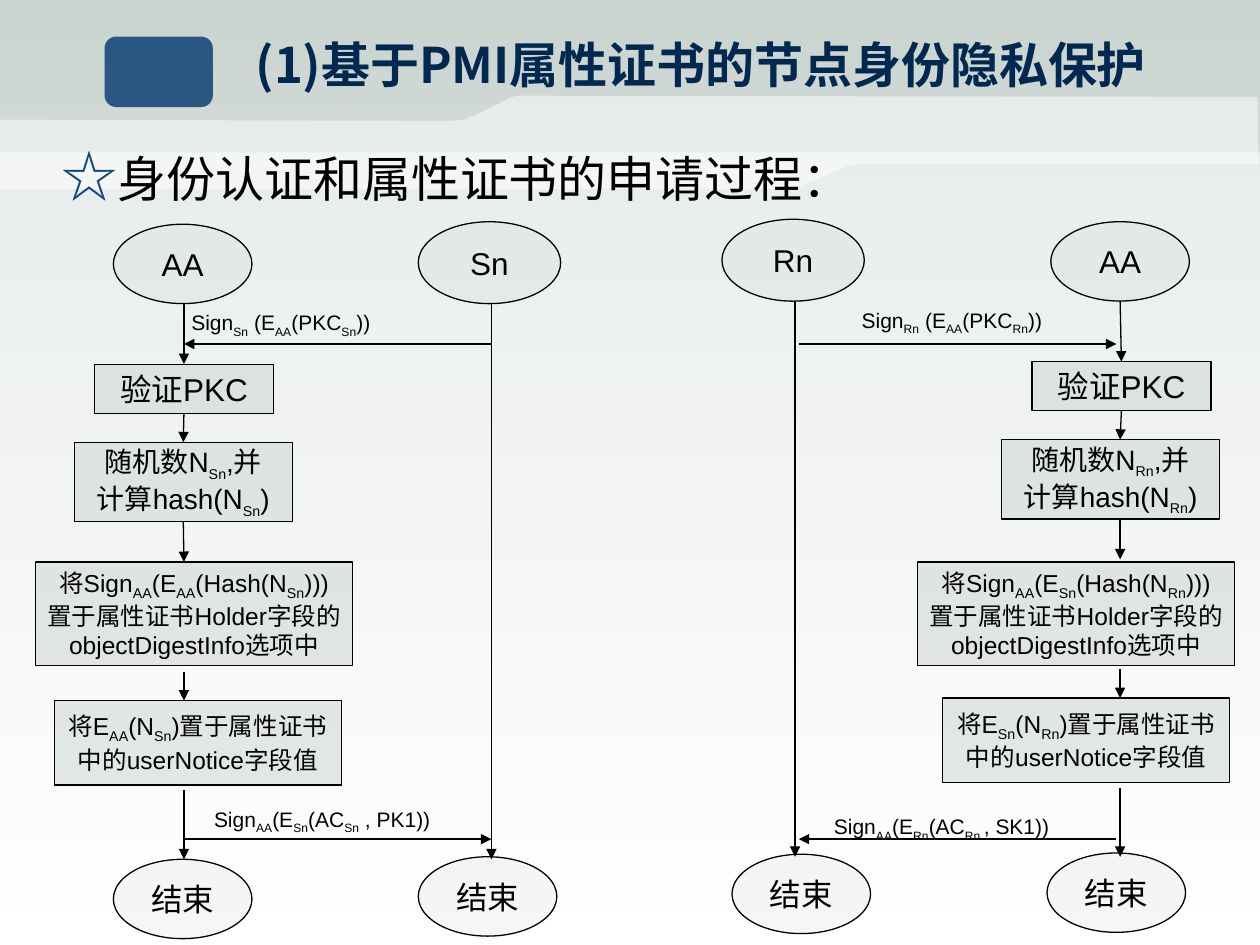
from dataclasses import dataclass

from lxml.etree import SubElement
from pptx import Presentation
from pptx.dml.color import RGBColor
from pptx.enum.shapes import MSO_CONNECTOR, MSO_SHAPE as SHAPE
from pptx.enum.text import MSO_ANCHOR as ANCHOR, PP_ALIGN as ALIGN
from pptx.oxml.ns import qn
from pptx.util import Inches, Pt

COLS, ROWS = 100, 75


@dataclass(frozen=True)
class Theme:
    ink: str = "000000"
    title: str = "002850"
    star: str = "124686"
    badge: str = "2A5682"
    mist: str = "CAD4CF"
    white: str = "FFFFFF"
    latin: str = "Arial"
    cjk: str = "Noto Sans CJK SC"
    title_size: int = 28
    star_size: int = 32
    node_size: int = 18
    random_size: int = 16
    step_size: int = 14
    label_size: int = 12
    line: float = 0.75


T = Theme()


@dataclass(frozen=True)
class Side:
    """One half of the flow: lefts are grid columns, dy shifts its rows."""
    peer: str
    key: str  # owner of the key that encrypts the nonce
    axis: float
    peer_axis: float
    near: float  # message end beside the AA axis
    far: float  # message end beside the peer axis
    dy: float
    aa_left: float
    peer_left: float
    step_lefts: tuple
    end_lefts: tuple
    end_tops: tuple
    request: tuple
    reply: tuple
    reply_text: str


LEFT = Side("Sn", "AA", 14.6, 39, 14.6, 39, 0, 9, 33.2, (7.5, 5.9, 2.8, 4.3),
            (9, 33.2), (68.2, 68), (14.2, 24.1), (16, 63.5),
            "Sign_{AA}(E_{Sn}(AC_{Sn} , PK1))")
RIGHT = Side("Rn", "Sn", 88.9, 63.1, 88.6, 63.4, -0.2, 83.4, 57.3,
             (81.9, 79.5, 72.8, 74.8), (83.1, 58.1), (67.7, 67.8),
             (67.4, 23.9), (65.2, 64.1), "Sign_{AA}(E_{Rn}(AC_{Rn }, SK1))")


def cells(*values):
    """Turn grid cells into lengths."""
    return [Inches(v * 10 / COLS) for v in values]


def rgb(color):
    return RGBColor.from_string(color)


def paint(s, color, alpha=100):
    s.fill.solid()
    s.fill.fore_color.rgb = rgb(color)
    if alpha < 100:
        clr = s.fill._xPr.find(qn("a:solidFill"))[0]
        SubElement(clr, qn("a:alpha")).set("val", str(alpha * 1000))


def add_run(p, text, size, color=T.ink, font=T.latin, bold=False, sub=False):
    r = p.add_run()
    r.text = text
    f = r.font
    f.size, f.name, f.bold = Pt(size), font, bold
    f.color.rgb = rgb(color)
    rPr = r._r.get_or_add_rPr()
    if sub:
        rPr.set("baseline", "-25000")
    ea = SubElement(rPr, qn("a:ea"))
    ea.set("typeface", T.cjk)


def write(s, text, size, align=ALIGN.LEFT, anchor=ANCHOR.TOP, wrap=True, **fmt):
    """Fill a shape with lines of text; _{...} marks a subscript."""
    tf = s.text_frame
    tf.word_wrap, tf.vertical_anchor = wrap, anchor
    for i, line in enumerate(text.split("\n")):
        p = tf.paragraphs[0] if i == 0 else tf.add_paragraph()
        p.alignment = align
        for j, part in enumerate(line.replace("}", "_{").split("_{")):
            sub = j % 2 == 1
            if part:
                add_run(p, part, min(size, T.step_size) if sub else size,
                        sub=sub, **fmt)


def add_textbox(slide, box, text, size, **fmt):
    s = slide.shapes.add_textbox(*cells(*box))
    write(s, text, size, **fmt)
    return s


def add_node(slide, kind, box, text, size=T.node_size, alpha=50):
    s = slide.shapes.add_shape(kind, *cells(*box))
    s.shadow.inherit = False
    paint(s, T.mist, alpha)
    s.line.color.rgb = rgb(T.ink)
    s.line.width = Pt(T.line)
    write(s, text, size, align=ALIGN.CENTER, anchor=ANCHOR.MIDDLE, wrap=False)
    return s


def add_oval(slide, left, top, text, width=11, height=6.3):
    return add_node(slide, SHAPE.OVAL, (left, top, width, height), text, alpha=19)


def add_arrow(slide, x1, y1, x2, y2, source=None, target=None):
    c = slide.shapes.add_connector(MSO_CONNECTOR.STRAIGHT, *cells(x1, y1, x2, y2))
    if source is not None:
        c.begin_connect(source, 2)
    if target is not None:
        c.end_connect(target, 0)
    c.line.color.rgb = rgb(T.ink)
    c.line.width = Pt(T.line)
    SubElement(c.line._get_or_add_ln(), qn("a:tailEnd")).set("type", "triangle")
    SubElement(c._element.spPr, qn("a:effectLst"))


def add_band(slide, points):
    start, *rest = [tuple(cells(*pt)) for pt in points]
    builder = slide.shapes.build_freeform(*start)
    builder.add_line_segments(rest, close=True)
    s = builder.convert_to_shape()
    s.shadow.inherit = False
    paint(s, T.white, 50)
    s.line.fill.background()


def add_backdrop(slide):
    fill = slide.background.fill
    fill.gradient()
    fill.gradient_angle = 270
    for stop, color, pos in zip(fill.gradient_stops, (T.mist, T.white), (0, 1)):
        stop.color.rgb, stop.position = rgb(color), pos
    add_band(slide, [(0, 12.1), (COLS, 12.1), (COLS, ROWS), (0, ROWS)])
    add_band(slide, [(99.8, 7.7), (41.2, 7.6), (40.6, 7.7), (37.8, 9.1),
                     (36.8, 9.5), (35.6, 9.6), (0, 9.5), (0, 15), (62.6, 15),
                     (63.8, 14.7), (67.4, 13.1), (69.2, 13), (99.9, 13)])


def add_heading(slide):
    add_textbox(slide, (19.3, 1.4, 79.5, 7.4), "(1)基于PMI属性证书的节点身份隐私保护",
                T.title_size, anchor=ANCHOR.MIDDLE, color=T.title, font=T.cjk,
                bold=True)
    s = add_textbox(slide, (3.9, 10.7, 92.3, 6.5), "☆", T.star_size, color=T.star)
    add_run(s.text_frame.paragraphs[0], "身份认证和属性证书的申请过程：",
            T.title_size, font=T.cjk)
    badge = slide.shapes.add_shape(SHAPE.FLOWCHART_ALTERNATE_PROCESS,
                                   *cells(8.3, 2.9, 8.6, 5.6))
    badge.shadow.inherit = False
    paint(badge, T.badge)
    badge.line.fill.background()


def add_side(slide, side):
    n, k, dy = side.peer, side.key, side.dy
    steps = [
        (28.9, 14.2, 3.9, T.node_size, "验证PKC"),
        (35.1, 17.3, 6.3, T.random_size,
         f"随机数N_{{{n}}},并\n计算hash(N_{{{n}}})"),
        (44.6 - dy, 25.2, 8.2, T.step_size,
         f"将Sign_{{AA}}(E_{{{k}}}(Hash(N_{{{n}}})))\n"
         "置于属性证书Holder字段的\nobjectDigestInfo选项中"),
        (55.6, 22.8, 6.7, T.step_size,
         f"将E_{{{k}}}(N_{{{n}}})置于属性证书\n中的userNotice字段值"),
    ]
    add_oval(slide, side.aa_left, 17.8 + dy, "AA")
    add_oval(slide, side.peer_left, 17.6 + dy, n, 11.3, 6.5)
    boxes = [add_node(slide, SHAPE.FLOWCHART_PROCESS, (left, top + dy, w, h), text, size)
             for left, (top, w, h, size, text) in zip(side.step_lefts, steps)]
    for left, top in zip(side.end_lefts, side.end_tops):
        add_oval(slide, left, top, "结束")

    # Only the steps centred on the AA axis are joined.
    axis = Inches(side.axis * 10 / COLS)
    on_axis = [b if abs(b.left + b.width / 2 - axis) < Inches(0.02) else None
               for b in boxes]
    spans = [(24.1, 28.8), (32.8, 35.1), (41.4, 44.6), (53.3, 55.6), (62.7, 68.2)]
    for (y1, y2), source, target in zip(spans, [None] + on_axis, on_axis + [None]):
        # The last two arrows leave a gap below the step above them.
        add_arrow(slide, side.axis, y1 + dy, side.axis, y2 + dy,
                  source if y1 < 53 else None, target)
    add_arrow(slide, side.peer_axis, 24.1 + dy, side.peer_axis, 68.2 + dy)
    add_arrow(slide, side.far, 27.3, side.near, 27.3)
    add_arrow(slide, side.near, 66.6, side.far, 66.6)
    request = f"Sign_{{{n}}} (E_{{AA}}(PKC_{{{n}}}))"
    for spot, text in ((side.request, request), (side.reply, side.reply_text)):
        add_textbox(slide, (*spot, 26.1, 3.3), text, T.label_size)


def main():
    prs = Presentation()
    prs.slide_width, prs.slide_height = cells(COLS, ROWS)
    slide = prs.slides.add_slide(prs.slide_layouts[6])
    add_backdrop(slide)
    add_heading(slide)
    for side in (LEFT, RIGHT):
        add_side(slide, side)
    prs.save("out.pptx")


if __name__ == "__main__":
    main()
